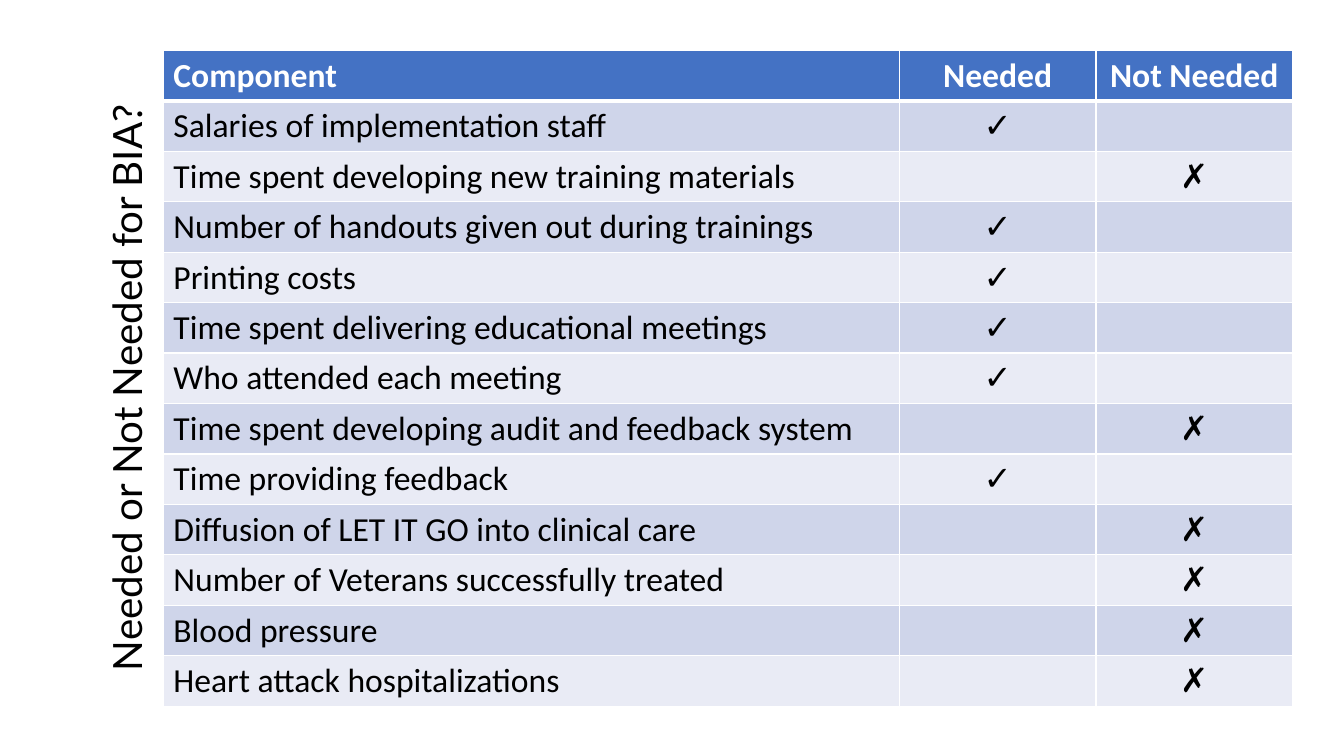
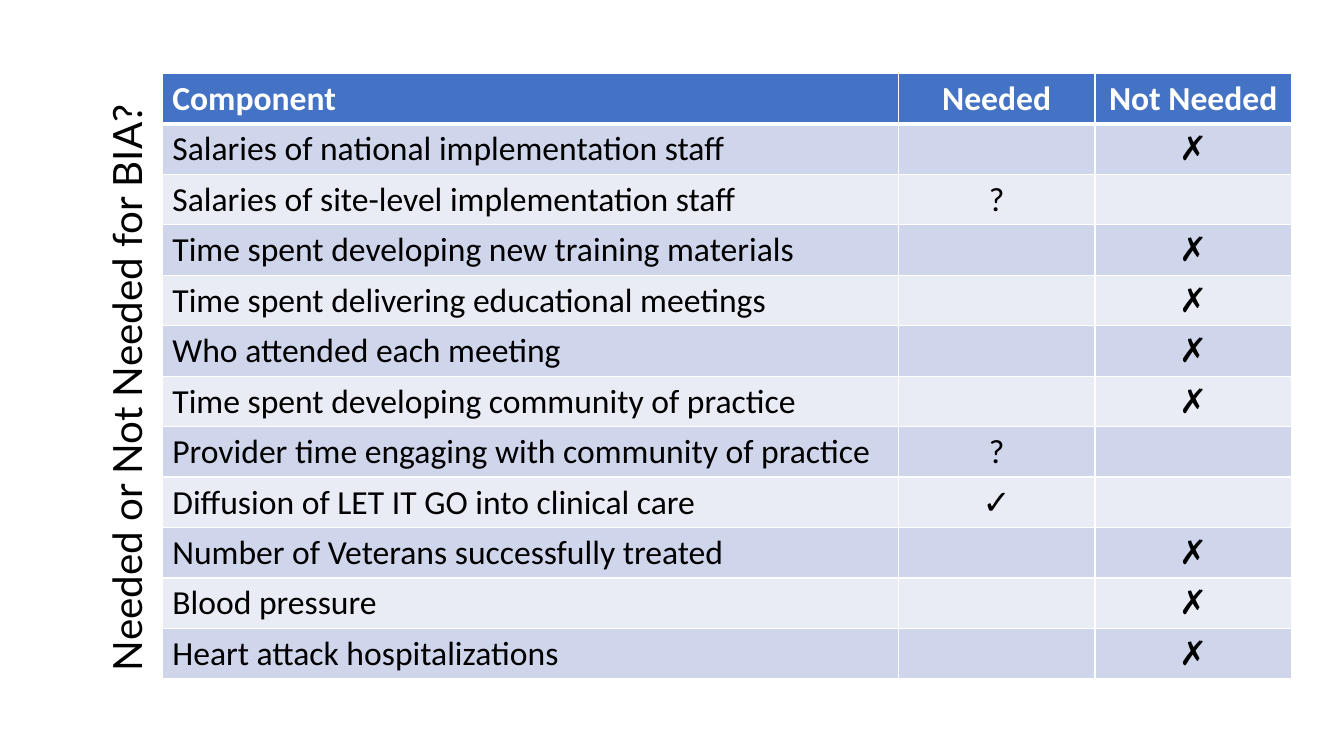
from lxml import etree
from pptx import Presentation
from pptx import util as u
from pptx.dml import color
from pptx.enum import text
from pptx.oxml import ns

TITLE = "Needed or Not Needed for BIA?"
HEAD = ("Component", "Needed", "Not Needed")
YES, NO, ASK = "✓", "✗", "?"
SLIDES = [
    {"at": (1.62, 0.5), "rows": [
        ("Salaries of implementation staff", YES),
        ("Time spent developing new training materials", NO),
        ("Number of handouts given out during trainings", YES),
        ("Printing costs", YES),
        ("Time spent delivering educational meetings", YES),
        ("Who attended each meeting", YES),
        ("Time spent developing audit and feedback system", NO),
        ("Time providing feedback", YES),
        ("Diffusion of LET IT GO into clinical care", NO),
        ("Number of Veterans successfully treated", NO),
        ("Blood pressure", NO),
        ("Heart attack hospitalizations", NO),
    ]},
    {"at": (1.61, 0.73), "rows": [
        ("Salaries of national implementation staff", NO),
        ("Salaries of site-level implementation staff", ASK),
        ("Time spent developing new training materials", NO),
        ("Time spent delivering educational meetings", NO),
        ("Who attended each meeting", NO),
        ("Time spent developing community of practice", NO),
        ("Provider time engaging with community of practice", ASK),
        ("Diffusion of LET IT GO into clinical care", YES),
        ("Number of Veterans successfully treated", NO),
        ("Blood pressure", NO),
        ("Heart attack hospitalizations", NO),
    ]},
]

THEME = {
    "head": "4472C4", "bands": ("CFD5EA", "E9EBF5"), "rule": "FFFFFF",
    "thin": 1, "thick": 3,
    "title": {"name": "Lato", "size": u.Pt(28.8), "bold": False, "ink": "000000"},
    "top": {"name": "Calibri", "size": u.Pt(24), "bold": True, "ink": "FFFFFF"},
    "body": {"name": "Calibri", "size": u.Pt(24), "bold": False, "ink": "000000"},
}
COLS = (7.3, 1.95, 1.95)
ROW = 0.5
BOX = (-1.97, 3.24, 6.4, 0.63)


def rgb(code):
    return color.RGBColor.from_string(code)


def assign(item, values):
    for key, value in values.items():
        setattr(item, key, value)


def write(frame, words, look, align):
    para = frame.paragraphs[0]
    para.alignment = align
    run = para.add_run()
    run.text = words
    assign(run.font, {k: v for k, v in look.items() if k != "ink"})
    run.font.color.rgb = rgb(look["ink"])
    return para


def edge(cell, widths):
    props = cell._tc.get_or_add_tcPr()
    for spot, (side, width) in enumerate(widths.items()):
        line = etree.Element(ns.qn("a:ln" + side), w=str(u.Pt(width)))
        fill = etree.SubElement(line, ns.qn("a:solidFill"))
        etree.SubElement(fill, ns.qn("a:srgbClr"), val=THEME["rule"])
        props.insert(spot, line)


def add_title(slide):
    box = slide.shapes.add_textbox(*map(u.Inches, BOX))
    box.rotation = 270
    frame = box.text_frame
    assign(frame, {"word_wrap": True, "vertical_anchor": text.MSO_ANCHOR.BOTTOM})
    para = write(frame, TITLE, THEME["title"], text.PP_ALIGN.LEFT)
    para.line_spacing = 0.9


def add_grid(slide, at, rows):
    marks = [(name, "" if mark == NO else mark, mark if mark == NO else "")
             for name, mark in rows]
    lines = [HEAD] + marks
    size = (sum(COLS), ROW * len(lines))
    grid = slide.shapes.add_table(
        len(lines), len(COLS), *map(u.Inches, at + size)).table
    for col, width in zip(grid.columns, COLS):
        col.width = u.Inches(width)
    for r, line in enumerate(lines):
        look = THEME["body" if r else "top"]
        fill = THEME["bands"][(r - 1) % 2] if r else THEME["head"]
        widths = dict.fromkeys("LRTB", THEME["thin"])
        if r < 2:
            widths["T" if r else "B"] = THEME["thick"]
        for c, words in enumerate(line):
            cell = grid.cell(r, c)
            cell.fill.solid()
            cell.fill.fore_color.rgb = rgb(fill)
            edge(cell, widths)
            if words:
                align = text.PP_ALIGN.CENTER if c else text.PP_ALIGN.LEFT
                write(cell.text_frame, words, look, align)


def main():
    deck = Presentation()
    assign(deck, {"slide_width": u.Inches(13.33), "slide_height": u.Inches(7.5)})
    for page in SLIDES:
        slide = deck.slides.add_slide(deck.slide_layouts[6])
        add_title(slide)
        add_grid(slide, **page)
    deck.save("out.pptx")


if __name__ == "__main__":
    main()
